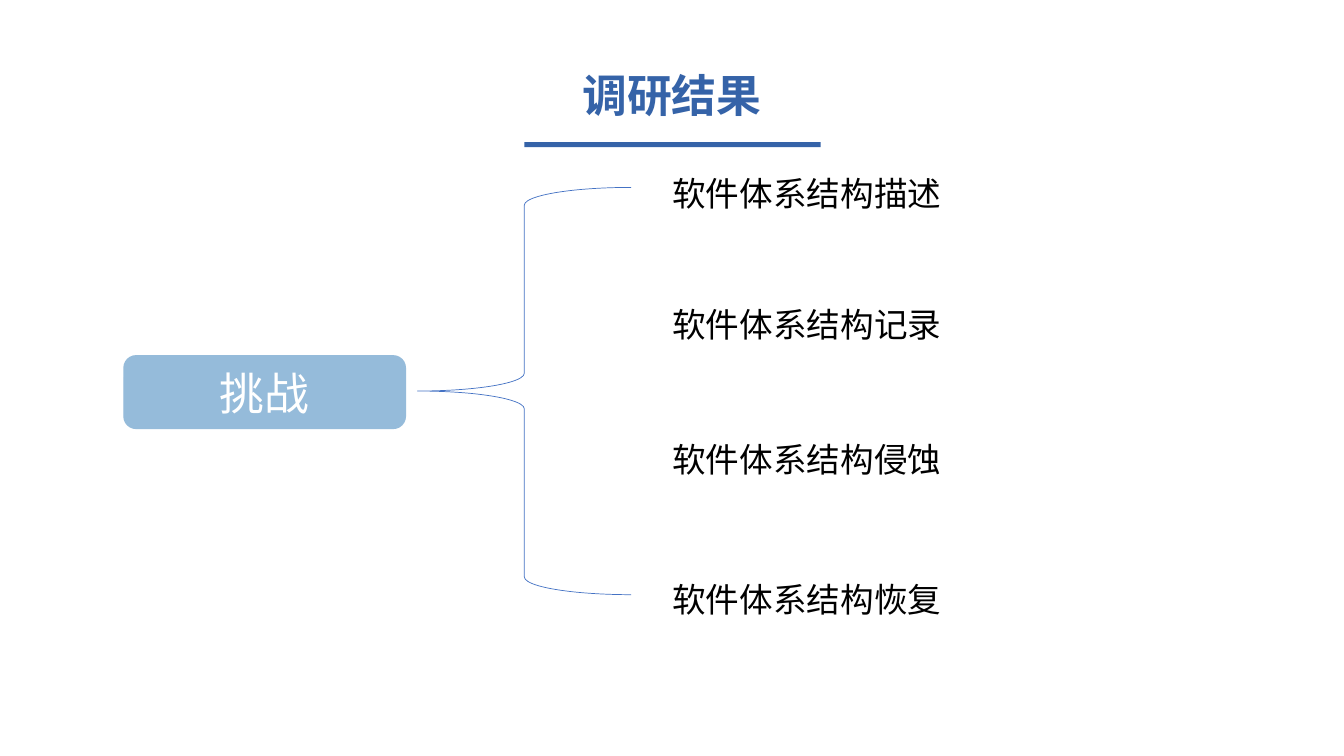
from pptx import Presentation
from pptx.dml.color import RGBColor
from pptx.enum.shapes import MSO_SHAPE
from pptx.enum.text import MSO_ANCHOR, MSO_AUTO_SIZE, PP_ALIGN
from pptx.util import Inches, Pt

TITLE_BLUE = RGBColor(0x35, 0x63, 0xA8)
TOPIC_BLUE = RGBColor(0x95, 0xBB, 0xDA)
BRACE_BLUE = RGBColor(0x44, 0x72, 0xC4)
WHITE = RGBColor(0xFF, 0xFF, 0xFF)
BLACK = RGBColor(0, 0, 0)
CENTER, LEFT = PP_ALIGN.CENTER, PP_ALIGN.LEFT
TOP, MIDDLE = MSO_ANCHOR.TOP, MSO_ANCHOR.MIDDLE
GROW = MSO_AUTO_SIZE.SHAPE_TO_FIT_TEXT
RECTANGLE, ROUNDED = MSO_SHAPE.RECTANGLE, MSO_SHAPE.ROUNDED_RECTANGLE
LEFT_BRACE = MSO_SHAPE.LEFT_BRACE

CHALLENGES_LEFT = 6.57
CHALLENGES = [
    ("软件体系结构描述", 1.67),
    ("软件体系结构记录", 2.97),
    ("软件体系结构侵蚀", 4.31),
    ("软件体系结构恢复", 5.69),
]


def write(shape, text, size, color, align, anchor, bold=False):
    frame = shape.text_frame
    frame.text = text
    frame.word_wrap = True
    frame.vertical_anchor = anchor
    paragraph = frame.paragraphs[0]
    paragraph.alignment = align
    font = paragraph.font
    font.name, font.size, font.bold = "Calibri", Pt(size), bold
    font.color.rgb = color


def add_plain_shape(kind, left, top, width, height):
    """Add a preset shape without a shadow."""
    shape = slide.shapes.add_shape(
        kind, Inches(left), Inches(top), Inches(width), Inches(height))
    shape.shadow.inherit = False
    return shape


prs = Presentation()
prs.slide_width, prs.slide_height = Inches(13.33), Inches(7.5)
slide = prs.slides.add_slide(prs.slide_layouts[5])

title = slide.shapes.title
title.left, title.top = Inches(4.02), Inches(0.62)
title.width, title.height = Inches(5.29), Inches(0.64)
write(title, "调研结果", 32, TITLE_BLUE, CENTER, TOP, bold=True)
title.text_frame.auto_size = GROW

underline = add_plain_shape(RECTANGLE, 5.2, 1.41, 2.94, 0.05)
underline.fill.solid()
underline.fill.fore_color.rgb = TITLE_BLUE
underline.line.fill.background()

topic = add_plain_shape(ROUNDED, 1.23, 3.53, 2.79, 0.72)
topic.fill.solid()
topic.fill.fore_color.rgb = TOPIC_BLUE
topic.line.color.rgb = TOPIC_BLUE
topic.line.width = Pt(1)
write(topic, "挑战", 32, WHITE, CENTER, MIDDLE)

brace = add_plain_shape(LEFT_BRACE, 4.14, 1.86, 2.12, 4.04)
brace.fill.background()
brace.line.color.rgb = BRACE_BLUE
brace.line.width = Pt(0.5)

for challenge, top in CHALLENGES:
    label = slide.shapes.add_textbox(
        Inches(CHALLENGES_LEFT), Inches(top), Inches(3.41), Inches(0.5))
    write(label, challenge, 24, BLACK, LEFT, TOP)
    label.text_frame.auto_size = GROW

prs.save("out.pptx")
